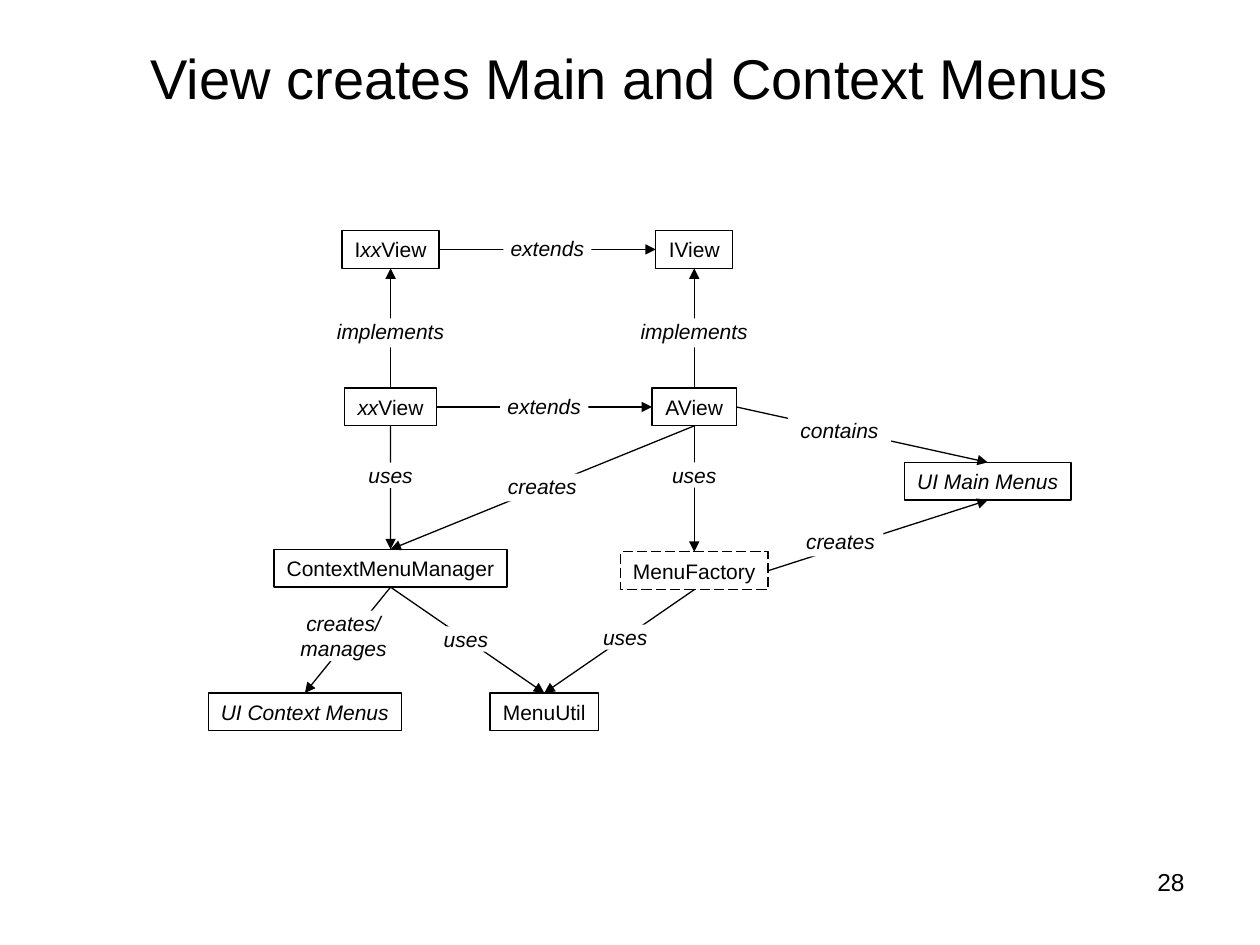
from dataclasses import dataclass

import pptx
import pptx.dml.color
import pptx.enum.dml
import pptx.enum.shapes
import pptx.enum.text
import pptx.oxml
import pptx.oxml.ns
import pptx.util

Inches = pptx.util.Inches
ALIGN = pptx.enum.text.PP_ALIGN
ANCHOR = pptx.enum.text.MSO_ANCHOR
TOP, LEFT, BOTTOM, RIGHT = range(4)


@dataclass(frozen=True)
class Theme:
    font: str = "Arial"
    ink: pptx.dml.color.RGBColor = pptx.dml.color.RGBColor(0, 0, 0)
    paper: pptx.dml.color.RGBColor = pptx.dml.color.RGBColor(255, 255, 255)
    title: float = 32
    body: float = 12
    number: float = 14
    line: float = 0.75


@dataclass(frozen=True)
class Node:
    """A class box; text between underscores is italic."""
    text: str
    col: str
    row: str
    width: float
    dashed: bool = False


@dataclass(frozen=True)
class Edge:
    """An arrow whose label sits at a share of its length, plus a nudge in inches."""
    start: str
    start_side: int
    end: str
    end_side: int
    label: str
    share: float = 0.5
    nudge: tuple[float, float] = (0, 0)


THEME = Theme()
NODE_HEIGHT = 0.3
COLS = {"context": 2.42, "own": 3.1, "util": 4.32, "base": 5.51, "main": 7.84}
ROWS = {"interface": 1.83, "class": 3.08, "main": 3.67,
        "manager": 4.36, "factory": 4.38, "bottom": 5.5}
LABEL_SIZES = {"implements": (0.96, 0.23), "extends": (0.7, 0.22),
               "uses": (0.57, 0.2), "creates": (0.68, 0.22),
               "contains": (0.82, 0.2), "creates/\nmanages": (0.88, 0.4)}

NODES = {
    "IxxView": Node("I_xx_View", "own", "interface", 0.77),
    "IView": Node("IView", "base", "interface", 0.61),
    "xxView": Node("_xx_View", "own", "class", 0.73),
    "AView": Node("AView", "base", "class", 0.67),
    "main": Node("_UI Main Menus_", "main", "main", 1.32),
    "manager": Node("ContextMenuManager", "own", "manager", 1.85),
    "factory": Node("MenuFactory", "base", "factory", 1.17, dashed=True),
    "context": Node("_UI Context Menus_", "context", "bottom", 1.53),
    "util": Node("MenuUtil", "util", "bottom", 0.86),
}

EDGES = [
    Edge("xxView", TOP, "IxxView", BOTTOM, "implements", 0.46),
    Edge("AView", TOP, "IView", BOTTOM, "implements", 0.46),
    Edge("IxxView", RIGHT, "IView", LEFT, "extends"),
    Edge("xxView", RIGHT, "AView", LEFT, "extends"),
    Edge("xxView", BOTTOM, "manager", TOP, "uses", 0.4),
    Edge("AView", BOTTOM, "factory", TOP, "uses", 0.39),
    Edge("AView", BOTTOM, "manager", TOP, "creates"),
    Edge("AView", RIGHT, "main", TOP, "contains", 0.41),
    Edge("factory", RIGHT, "main", BOTTOM, "creates", 0.33, (0, -0.04)),
    Edge("manager", BOTTOM, "util", TOP, "uses", 0.49),
    Edge("factory", BOTTOM, "util", TOP, "uses", 0.46),
    Edge("manager", BOTTOM, "context", TOP, "creates/\nmanages", 0.46, (-0.06, 0)),
]


def format_runs(p, size: float, align) -> None:
    p.alignment = align
    for r in p.runs:
        r.font.name = THEME.font
        r.font.size = pptx.util.Pt(size)
        r.font.color.rgb = THEME.ink


def add_box(slide, x: float, y: float, width: float, height: float, margin: float):
    """Add a borderless paper-coloured rectangle centred on x, with its top at y."""
    sp = slide.shapes.add_shape(
        pptx.enum.shapes.MSO_SHAPE.RECTANGLE,
        Inches(x - width / 2), Inches(y), Inches(width), Inches(height))
    sp.shadow.inherit = False
    sp.fill.solid()
    sp.fill.fore_color.rgb = THEME.paper
    sp.line.fill.background()
    tf = sp.text_frame
    tf.word_wrap = False
    tf.vertical_anchor = ANCHOR.TOP
    tf.margin_top = tf.margin_bottom = Inches(margin)
    return sp


def add_node(slide, node: Node):
    sp = add_box(slide, COLS[node.col], ROWS[node.row], node.width, NODE_HEIGHT, 0.05)
    sp.line.color.rgb = THEME.ink
    sp.line.width = pptx.util.Pt(THEME.line)
    if node.dashed:
        sp.line.dash_style = pptx.enum.dml.MSO_LINE.LONG_DASH
    p = sp.text_frame.paragraphs[0]
    for i, part in enumerate(node.text.split("_")):
        if part:
            r = p.add_run()
            r.text = part
            r.font.italic = i % 2 == 1
    format_runs(p, THEME.body, ALIGN.CENTER)
    return sp


def add_arrow(slide, edge: Edge, boxes: dict):
    line = slide.shapes.add_connector(
        pptx.enum.shapes.MSO_CONNECTOR.STRAIGHT, 0, 0, 0, 0)
    line.begin_connect(boxes[edge.start], edge.start_side)
    line.end_connect(boxes[edge.end], edge.end_side)
    line.line.color.rgb = THEME.ink
    line.line.width = pptx.util.Pt(THEME.line)
    tail = pptx.oxml.parse_xml(
        f'<a:tailEnd {pptx.oxml.ns.nsdecls("a")} type="triangle"/>')
    line.line._get_or_add_ln().append(tail)
    line._element.spPr.append(
        pptx.oxml.parse_xml(f'<a:effectLst {pptx.oxml.ns.nsdecls("a")}/>'))
    return line


def add_edge(slide, edge: Edge, boxes: dict) -> None:
    line = add_arrow(slide, edge, boxes)
    x, y = (
        pptx.util.Emu(begin + (end - begin) * edge.share).inches + shift
        for begin, end, shift in (
            (line.begin_x, line.end_x, edge.nudge[0]),
            (line.begin_y, line.end_y, edge.nudge[1])))
    width, height = LABEL_SIZES[edge.label]
    sp = add_box(slide, x, y - height / 2, width, height, 0)
    sp.text_frame.text = edge.label
    for p in sp.text_frame.paragraphs:
        format_runs(p, THEME.body, ALIGN.CENTER)
        p.runs[0].font.italic = True


def add_title(slide, text: str) -> None:
    sp = slide.shapes.title
    sp.left, sp.top, sp.width, sp.height = map(Inches, (0.5, 0.3, 9, 0.62))
    tf = sp.text_frame
    tf.text = text
    tf.vertical_anchor = ANCHOR.MIDDLE
    format_runs(tf.paragraphs[0], THEME.title, ALIGN.CENTER)


def add_page_number(slide, number: int) -> None:
    sp = slide.shapes.add_textbox(*map(Inches, (7.75, 6.83, 1.75, 0.52)))
    tf = sp.text_frame
    tf.word_wrap = True
    tf.text = str(number)
    format_runs(tf.paragraphs[0], THEME.number, ALIGN.RIGHT)


def main() -> None:
    prs = pptx.Presentation()
    prs.slide_width, prs.slide_height = Inches(10), Inches(7.5)
    slide = prs.slides.add_slide(prs.slide_layouts.get_by_name("Title Only"))
    add_title(slide, "View creates Main and Context Menus")
    boxes = {name: add_node(slide, node) for name, node in NODES.items()}
    for edge in EDGES:
        add_edge(slide, edge, boxes)
    add_page_number(slide, 28)
    prs.save("out.pptx")


if __name__ == "__main__":
    main()
